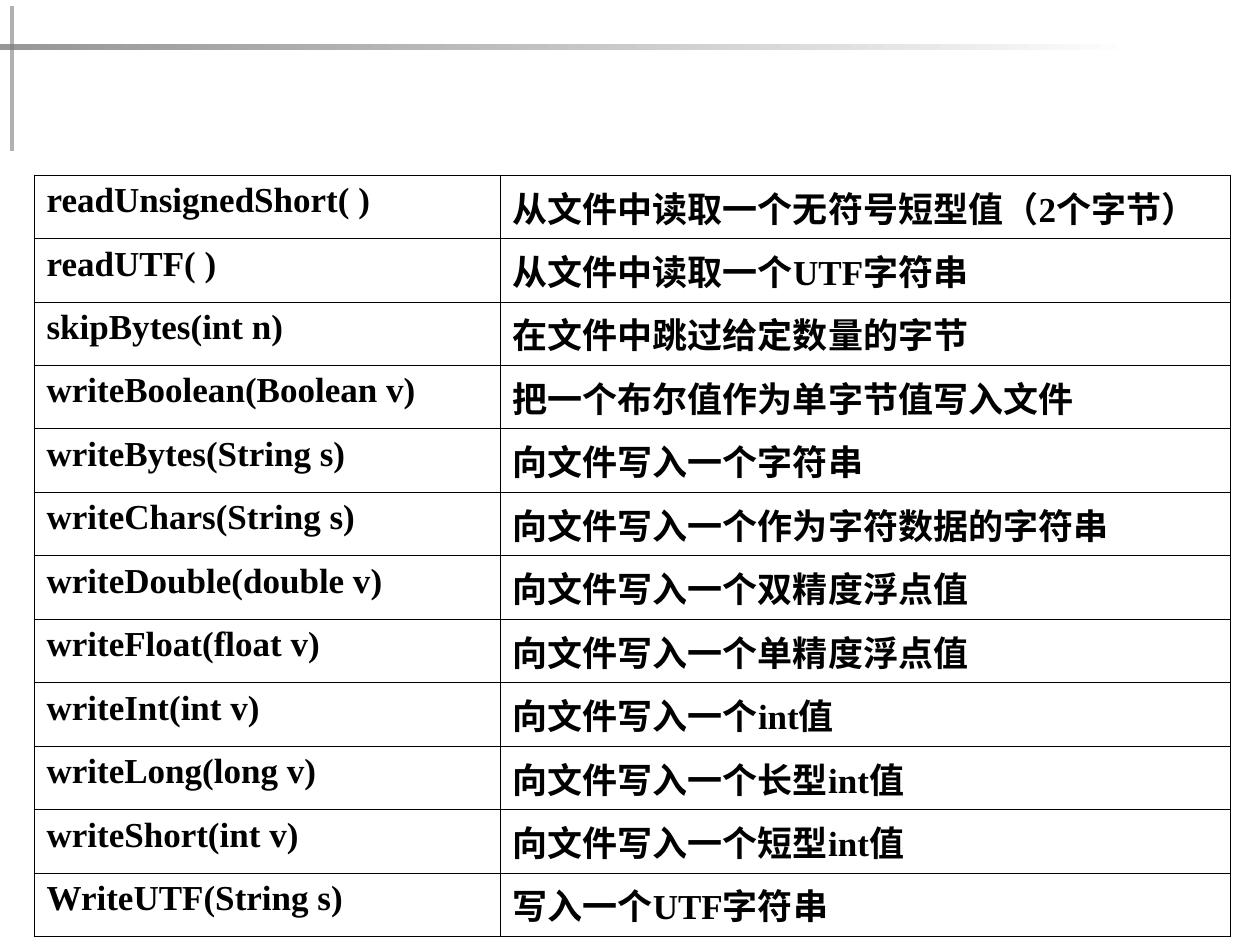
import pptx
import pptx.dml.color
import pptx.enum.lang
import pptx.enum.shapes
import pptx.oxml
import pptx.oxml.ns
import pptx.util

PX = 914400 // 126
COLORS = {"text": "000000", "border": "000000", "upright": "1C1C1C",
          "bar_start": "808080", "bar_end": "FFFFFF"}
CELL_FONT = {"name": "Times New Roman", "size": pptx.util.Pt(20), "bold": True,
             "language_id": pptx.enum.lang.MSO_LANGUAGE_ID.SIMPLIFIED_CHINESE}
TABLE_FORMAT = {"first_row": False, "horz_banding": False}
BORDER_WIDTH = pptx.util.Pt(0.45)
COLUMN_WIDTHS = (466, 730)
METHODS = [
    ("readUnsignedShort( )", "从文件中读取一个无符号短型值（2个字节）"),
    ("readUTF( )", "从文件中读取一个UTF字符串"),
    ("skipBytes(int n)", "在文件中跳过给定数量的字节"),
    ("writeBoolean(Boolean v)", "把一个布尔值作为单字节值写入文件"),
    ("writeBytes(String s)", "向文件写入一个字符串"),
    ("writeChars(String s)", "向文件写入一个作为字符数据的字符串"),
    ("writeDouble(double v)", "向文件写入一个双精度浮点值"),
    ("writeFloat(float v)", "向文件写入一个单精度浮点值"),
    ("writeInt(int v)", "向文件写入一个int值"),
    ("writeLong(long v)", "向文件写入一个长型int值"),
    ("writeShort(int v)", "向文件写入一个短型int值"),
    ("WriteUTF(String s)", "写入一个UTF字符串"),
]


def px(*lengths):
    return [length * PX for length in lengths]


def rgb(name):
    return pptx.dml.color.RGBColor.from_string(COLORS[name])


def set_format(target, values):
    for name, value in values.items():
        setattr(target, name, value)


def set_opacity(fill_element, percent):
    """Make the first colour found in the element partly transparent."""
    color = fill_element.find(".//" + pptx.oxml.ns.qn("a:srgbClr"))
    color.append(pptx.oxml.parse_xml(
        f'<a:alpha {pptx.oxml.ns.nsdecls("a")} val="{percent * 1000}"/>'))


def add_rule(slide, box, opacity, *color_names):
    """Add a thin bar, solid for one colour or fading rightwards for two."""
    rule = slide.shapes.add_shape(
        pptx.enum.shapes.MSO_SHAPE.RECTANGLE, *px(*box))
    rule.shadow.inherit = False
    rule.line.fill.background()
    if len(color_names) == 1:
        rule.fill.solid()
        rule.fill.fore_color.rgb = rgb(color_names[0])
    else:
        rule.fill.gradient()
        rule.fill.gradient_angle = 0
        for stop, name in zip(rule.fill.gradient_stops, color_names):
            stop.color.rgb = rgb(name)
    set_opacity(rule.element.spPr, opacity)


def add_borders(cell):
    properties = cell._tc.get_or_add_tcPr()
    for side in ("lnL", "lnR", "lnT", "lnB"):
        properties.append(pptx.oxml.parse_xml(
            f'<a:{side} {pptx.oxml.ns.nsdecls("a")} w="{BORDER_WIDTH}">'
            f'<a:solidFill><a:srgbClr val="{COLORS["border"]}"/></a:solidFill>'
            f'</a:{side}>'))


def fill_cell(cell, text):
    cell.text = text
    add_borders(cell)
    cell.fill.background()
    font = cell.text_frame.paragraphs[0].runs[0].font
    set_format(font, CELL_FONT)
    font.color.rgb = rgb("text")


def add_method_table(slide):
    methods = slide.shapes.add_table(
        len(METHODS), len(COLUMN_WIDTHS),
        *px(34, 175, sum(COLUMN_WIDTHS), 655)).table
    set_format(methods, TABLE_FORMAT)
    for column, width in zip(methods.columns, px(*COLUMN_WIDTHS)):
        column.width = width
    for row, texts in zip(methods.rows, METHODS):
        for cell, text in zip(row.cells, texts):
            fill_cell(cell, text)


def main():
    deck = pptx.Presentation()
    deck.slide_width, deck.slide_height = px(1260, 945)
    slide = deck.slides.add_slide(deck.slide_layouts[6])
    add_rule(slide, (10, 6, 4, 145), 34, "upright")
    add_rule(slide, (0, 45, 1134, 5), 81, "bar_start", "bar_end")
    add_method_table(slide)
    deck.save("out.pptx")


if __name__ == "__main__":
    main()
